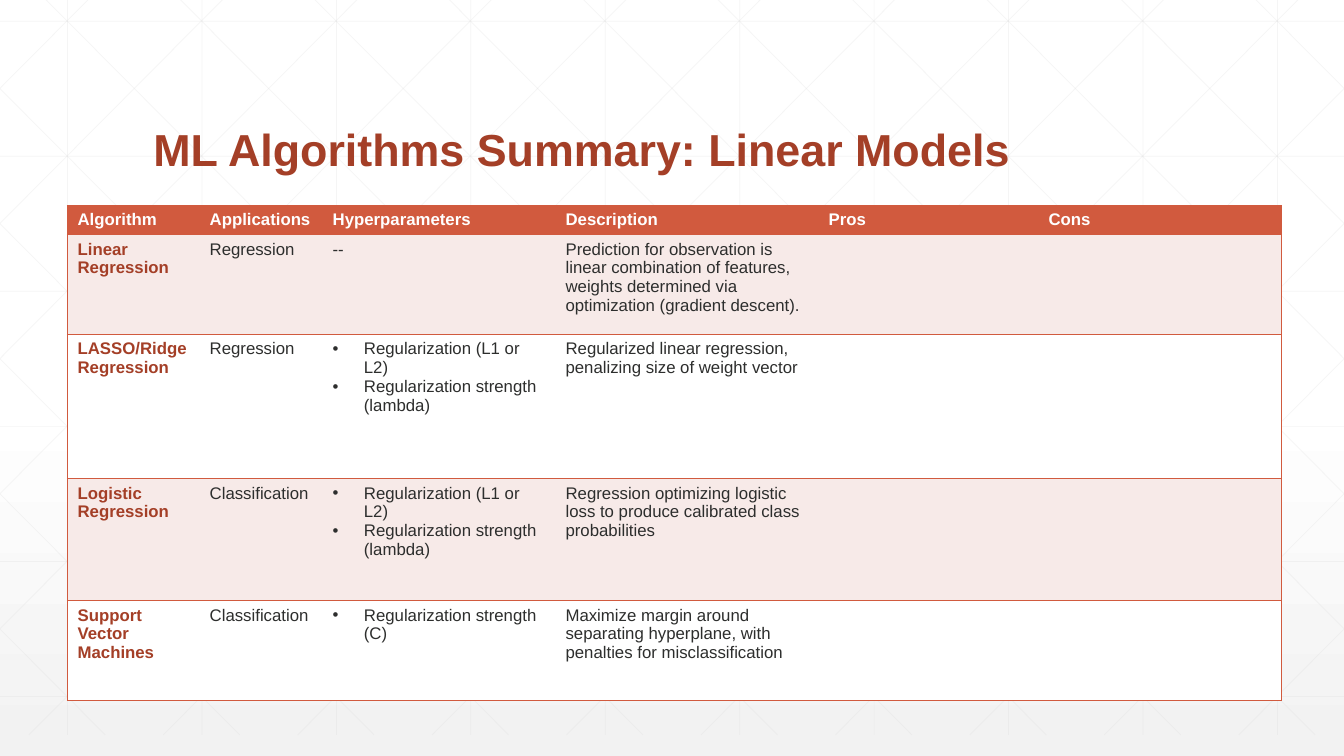
from lxml.etree import SubElement
from pptx import Presentation
from pptx.dml.color import RGBColor
from pptx.enum.shapes import MSO_CONNECTOR as CONN
from pptx.enum.text import MSO_ANCHOR as ANCHOR, MSO_AUTO_SIZE as AUTO, PP_ALIGN as ALIGN
from pptx.oxml import parse_xml
from pptx.oxml.ns import nsdecls, qn
from pptx.util import Inches, Pt

RUST = RGBColor(0xA4, 0x3F, 0x27)
ORANGE = RGBColor(0xD1, 0x5A, 0x3E)
BLUSH = RGBColor(0xF7, 0xEA, 0xE8)
WHITE = RGBColor(0xFF, 0xFF, 0xFF)
INK = RGBColor(0x2D, 0x2E, 0x2D)
GRID = RGBColor(0xD9, 0xD9, 0xD9)
SMOKE = RGBColor(0xF2, 0xF2, 0xF2)

FONT = "Arial"
NO_STYLE = "{2D5ABB26-0587-4C30-8999-92F81FD0307C}"
WIDTH, HEIGHT = 13.33, 7.5
GRID_TOP, GRID_BOTTOM = -0.21, 7.29
STEP = 4 / 3
DIAGONAL_RUN = 7.46

COLS = [1.31, 1.22, 2.31, 2.61, 2.18, 2.41]
ROWS = [0.29, 0.99, 1.43, 1.21, 0.99]
PENALTY = ["Regularization (L1 or L2)", "Regularization strength (lambda)"]
# A list in a cell is set as bullets.
MODELS = [
    ["Algorithm", "Applications", "Hyperparameters", "Description", "Pros", "Cons"],
    ["Linear Regression", "Regression", "--",
     "Prediction for observation is linear combination of features, "
     "weights determined via optimization (gradient descent).", "", ""],
    ["LASSO/Ridge Regression", "Regression", PENALTY,
     "Regularized linear regression, penalizing size of weight vector", "", ""],
    ["Logistic Regression", "Classification", PENALTY,
     "Regression optimizing logistic loss to produce calibrated class probabilities", "", ""],
    ["Support Vector Machines", "Classification", ["Regularization strength (C)"],
     "Maximize margin around separating hyperplane, with penalties for misclassification",
     "", ""],
]


def set_background(s):
    s.background.fill.solid()
    bg_pr = s.background.fill._xPr
    bg_pr.replace(bg_pr[0], parse_xml(
        f'<a:gradFill {nsdecls("a")} rotWithShape="1"><a:gsLst>'
        f'<a:gs pos="0"><a:srgbClr val="{WHITE}"/></a:gs>'
        f'<a:gs pos="53000"><a:srgbClr val="{WHITE}"/></a:gs>'
        f'<a:gs pos="100000"><a:srgbClr val="{SMOKE}"><a:alpha val="65000"/></a:srgbClr></a:gs>'
        '</a:gsLst><a:lin ang="5400000" scaled="0"/></a:gradFill>'))


def add_grid_line(s, x1, y1, x2, y2):
    line = s.shapes.add_connector(CONN.STRAIGHT, *map(Inches, (x1, y1, x2, y2)))
    line.line.color.rgb = GRID
    line.line.width = Pt(0.5)
    sp_pr = line.element.spPr
    SubElement(next(sp_pr.iter(qn("a:srgbClr"))), qn("a:alpha"), val="25000")
    SubElement(sp_pr, qn("a:effectLst"))


def add_grid(s):
    """Draw uprights, levels and both sets of diagonals, cut at the slide's sides."""
    for i in range(10):
        x = 0.67 + i * STEP
        add_grid_line(s, x, GRID_TOP, x, GRID_BOTTOM)
    for i in range(6):
        y = 0.21 + i * 1.34
        add_grid_line(s, 0, y, WIDTH, y)
    slope = (GRID_BOTTOM - GRID_TOP) / DIAGONAL_RUN
    for i in range(-5, 10):
        start = 0.25 + i * STEP
        x1, x2 = max(start, 0), min(start + DIAGONAL_RUN, WIDTH)
        y1, y2 = (GRID_TOP + (x - start) * slope for x in (x1, x2))
        add_grid_line(s, x1, y1, x2, y2)
        add_grid_line(s, WIDTH - x1, y1, WIDTH - x2, y2)


def format_run(r, size, color, bold):
    for name, value in {"name": FONT, "size": Pt(size), "bold": bold}.items():
        setattr(r.font, name, value)
    r.font.color.rgb = color


def add_title(s, text):
    title = s.shapes.title
    s.shapes.element.append(title.element)  # in front of the grid
    box = {"left": 1.42, "top": 0.55, "width": 10.5, "height": 1.25}
    for name, value in box.items():
        setattr(title, name, Inches(value))
    tf = title.text_frame
    for name, value in {"word_wrap": True, "auto_size": AUTO.NONE,
                        "vertical_anchor": ANCHOR.BOTTOM}.items():
        setattr(tf, name, value)
    p = tf.paragraphs[0]
    p.alignment = ALIGN.LEFT
    p.line_spacing = 0.9
    r = p.add_run()
    r.text = text
    format_run(r, 32, RUST, True)


def add_bullet(p):
    p_pr = p._p.get_or_add_pPr()
    indent = Inches(0.31)
    p_pr.set("marL", str(indent))
    p_pr.set("indent", str(-indent))
    SubElement(p_pr, qn("a:buFont"), typeface=FONT)
    SubElement(p_pr, qn("a:buChar"), char="•")


def add_borders(cell, sides):
    tc_pr = cell._tc.get_or_add_tcPr()
    for side in sides:
        tc_pr.append(parse_xml(
            f'<a:ln{side} {nsdecls("a")} w="{Pt(1)}"><a:solidFill>'
            f'<a:srgbClr val="{ORANGE}"/></a:solidFill></a:ln{side}>'))


def fill_cell(cell, content, color, bold):
    bulleted = isinstance(content, list)
    tf = cell.text_frame
    for i, text in enumerate(content if bulleted else [content]):
        p = tf.add_paragraph() if i else tf.paragraphs[0]
        if bulleted:
            add_bullet(p)
        if text:
            r = p.add_run()
            r.text = text
            format_run(r, 12, color, bold)


def add_model_table(s):
    frame = s.shapes.add_table(len(ROWS), len(COLS), Inches(0.67), Inches(2.04),
                               Inches(sum(COLS)), Inches(sum(ROWS)))
    table = frame.table
    next(frame.element.iter(qn("a:tableStyleId"))).text = NO_STYLE
    for col, width in zip(table.columns, COLS):
        col.width = Inches(width)
    for row, height in zip(table.rows, ROWS):
        row.height = Inches(height)
    last = len(COLS) - 1
    for i, model in enumerate(MODELS):
        fill = ORANGE if i == 0 else BLUSH if i % 2 else WHITE
        for j, content in enumerate(model):
            cell = table.cell(i, j)
            add_borders(cell, "L" * (j == 0) + "R" * (j == last) + "TB")
            cell.fill.solid()
            cell.fill.fore_color.rgb = fill
            color = WHITE if i == 0 else RUST if j == 0 else INK
            fill_cell(cell, content, color, i == 0 or j == 0)


def main():
    prs = Presentation()
    prs.slide_width, prs.slide_height = Inches(WIDTH), Inches(HEIGHT)
    s = prs.slides.add_slide(prs.slide_layouts[5])
    set_background(s)
    add_grid(s)
    add_title(s, "ML Algorithms Summary: Linear Models")
    add_model_table(s)
    prs.save("out.pptx")


if __name__ == "__main__":
    main()
